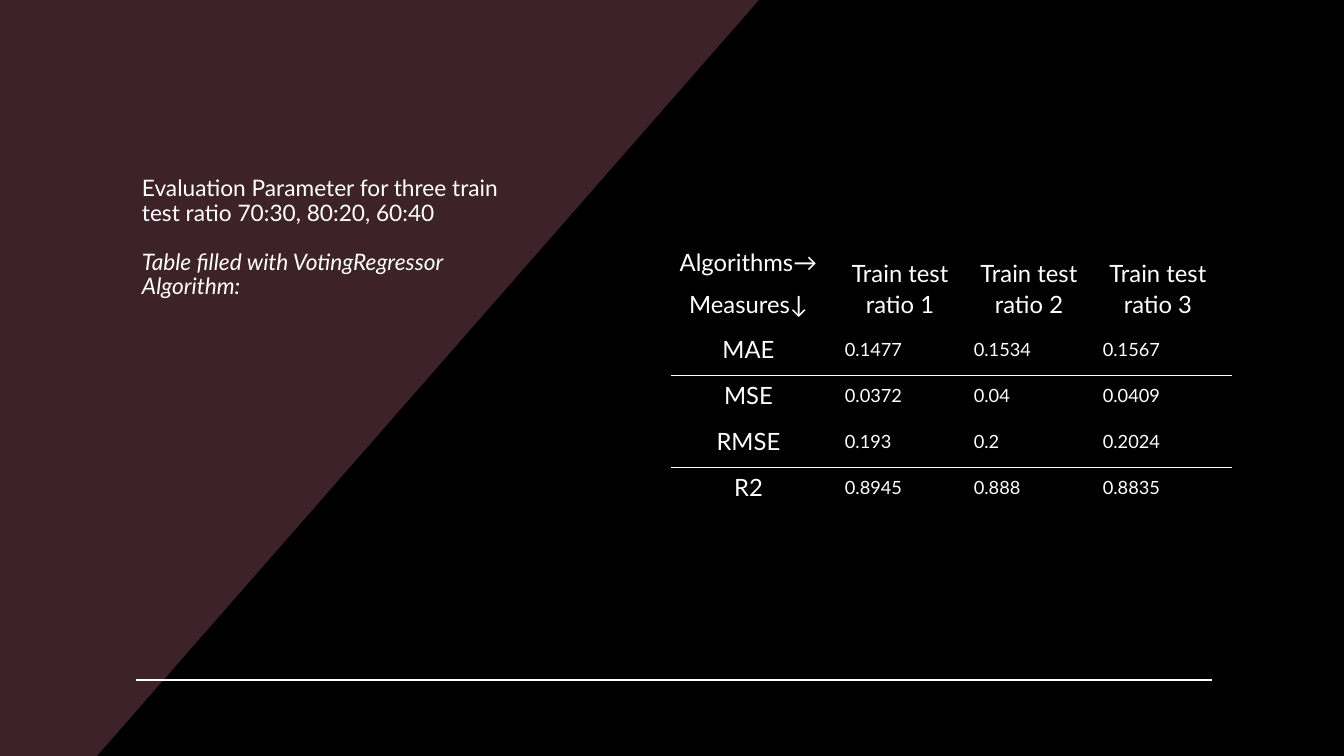
from lxml.etree import SubElement
from pptx import Presentation
from pptx.dml.color import RGBColor
from pptx.enum.shapes import MSO_CONNECTOR as CONN
from pptx.enum.text import MSO_ANCHOR as ANCHOR, PP_ALIGN as ALIGN
from pptx.oxml.ns import qn
from pptx.util import Pt

PX = 12192000 / 1344
COLORS = {"black": "000000", "white": "FFFFFF", "plum": "3D2229"}
FONT = "Lato"
HEADER = ["Algorithms→\nMeasures↓", "Train test ratio 1", "Train test ratio 2", "Train test ratio 3"]
MEASURES = [
    ["MAE", "0.1477", "0.1534", "0.1567"],
    ["MSE", "0.0372", "0.04", "0.0409"],
    ["RMSE", "0.193", "0.2", "0.2024"],
    ["R2", "0.8945", "0.888", "0.8835"],
]


def px(n):
    return round(n * PX)


def rgb(name):
    return RGBColor.from_string(COLORS[name])


def paint(fill, name):
    fill.solid()
    fill.fore_color.rgb = rgb(name)


def add_text(p, text, size, italic=False, align=ALIGN.LEFT, spacing=1.0, after=0):
    p.alignment = align
    p.line_spacing = spacing
    p.space_after = Pt(after)
    r = p.add_run()
    r.text = text
    r.font.name = FONT
    r.font.size = Pt(size)
    r.font.italic = italic
    r.font.color.rgb = rgb("white")


def set_margins(target, left, top, right, bottom):
    target.margin_left, target.margin_top = px(left), px(top)
    target.margin_right, target.margin_bottom = px(right), px(bottom)


def set_borders(cell, **lines):
    tc_pr = cell._tc.get_or_add_tcPr()
    for i, side in enumerate(("lnL", "lnR", "lnT", "lnB")):
        color = lines.get(side)
        ln = SubElement(tc_pr, qn(f"a:{side}"), w=str(Pt(0.75)))
        tc_pr.insert(i, ln)
        if color:
            fill = SubElement(ln, qn("a:solidFill"))
            SubElement(fill, qn("a:srgbClr"), val=COLORS[color])
        else:
            SubElement(ln, qn("a:noFill"))


def add_backdrop(s, w, h):
    paint(s.background.fill, "black")
    builder = s.shapes.build_freeform(0, 0, scale=PX)
    builder.add_line_segments([(759, 0), (97, h), (0, h)], close=True)
    sp = builder.convert_to_shape()
    sp.shadow.inherit = False
    paint(sp.fill, "plum")
    sp.line.fill.background()
    y = px(h - 76)
    rule = s.shapes.add_connector(CONN.STRAIGHT, px(136), y, px(w - 132), y)
    rule.line.color.rgb = rgb("white")
    rule.line.width = Pt(1)
    SubElement(rule._element.spPr, qn("a:effectLst"))


def add_heading(s, x, y, w, h):
    tf = s.shapes.add_textbox(px(x), px(y), px(w), px(h)).text_frame
    tf.word_wrap = True
    set_margins(tf, 10, 0, 10, 0)
    add_text(tf.paragraphs[0], "Evaluation Parameter for three train test ratio 70:30, 80:20, 60:40",
             16.2, spacing=0.9, after=17.5)
    add_text(tf.add_paragraph(), "Table filled with VotingRegressor Algorithm:",
             16.2, italic=True, spacing=0.9)


def add_measures(s, x, y, w, h):
    data = [HEADER] + MEASURES
    label_w, header_h = 174, 84
    value_w = (w - label_w) // 3
    row_h = (h - header_h) // len(MEASURES)
    table = s.shapes.add_table(len(data), len(HEADER), px(x), px(y), px(w), px(h)).table
    table.first_row = table.horz_banding = False
    for j, col in enumerate(table.columns):
        col.width = px(value_w if j else label_w)
    for i, texts in enumerate(data):
        table.rows[i].height = px(row_h if i else header_h)
        for j, text in enumerate(texts):
            cell = table.cell(i, j)
            paint(cell.fill, "black")
            set_margins(cell, 0, 3 if i else 2, 19, 11)
            cell.vertical_anchor = ANCHOR.MIDDLE if i else ANCHOR.BOTTOM
            is_value = i > 0 and j > 0
            for k, line in enumerate(text.split("\n")):
                p = cell.text_frame.add_paragraph() if k else cell.text_frame.paragraphs[0]
                add_text(p, line, 13 if is_value else 17, spacing=1.07,
                         align=ALIGN.LEFT if is_value else ALIGN.CENTER,
                         after=0 if is_value else 8)
            set_borders(cell, lnT="white" if i in (2, 4) else None,
                        lnB="white" if i in (1, 3) else None)


def main():
    prs = Presentation()
    prs.slide_width, prs.slide_height = px(1344), px(756)
    s = prs.slides.add_slide(prs.slide_layouts[6])
    add_backdrop(s, 1344, 756)
    add_heading(s, 132, 177, 389, 125)
    add_measures(s, 671, 244, 561, 268)
    prs.save("out.pptx")


if __name__ == "__main__":
    main()
